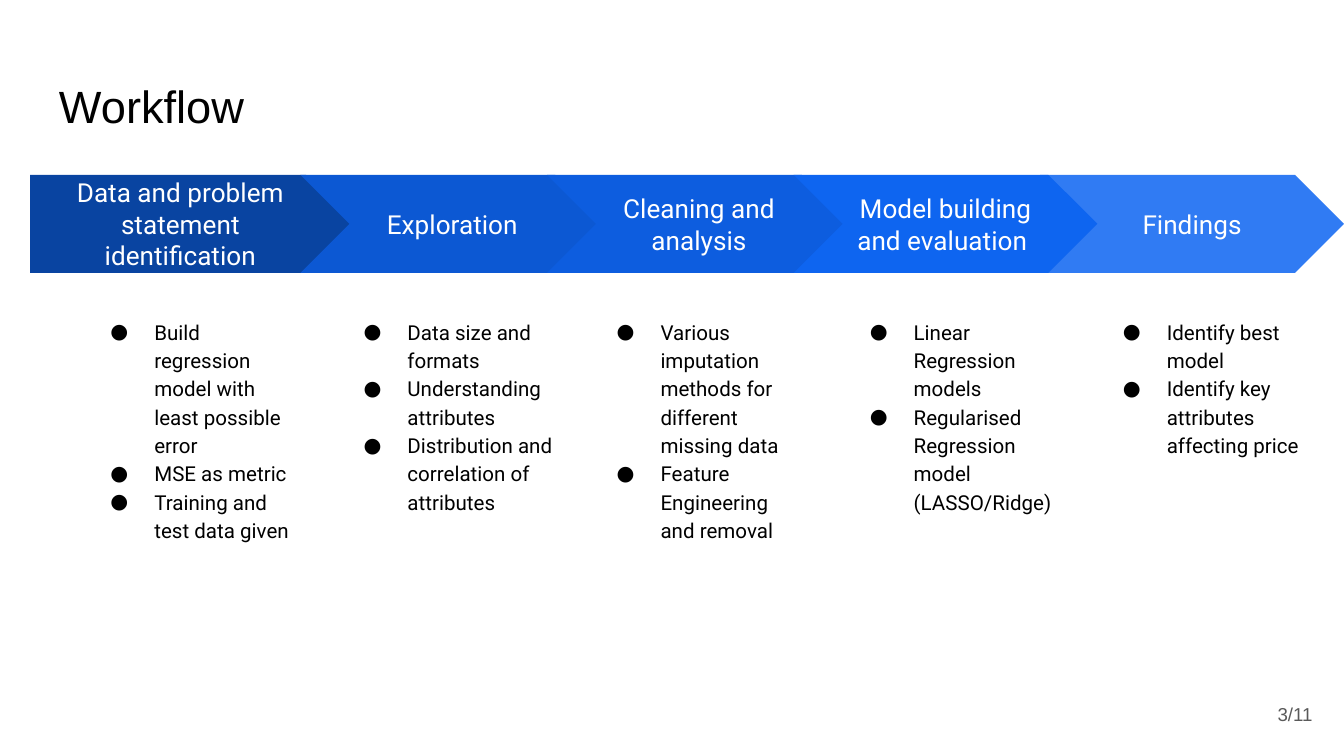
from lxml import etree
from pptx import Presentation
from pptx.dml.color import RGBColor
from pptx.enum import shapes, text
from pptx.oxml import ns
from pptx.util import Pt

COLORS = {
    "black": "000000",
    "white": "FFFFFF",
    "grey": "595959",
    "problem": "0944A1",
    "exploration": "0C58D3",
    "cleaning": "0D5DDF",
    "model": "0E65F0",
    "findings": "307BF3",
}

STAGES = [
    ("problem", "Data and problem statement identification", [
        "Build regression model with least possible error",
        "MSE as metric",
        "Training and test data given",
    ]),
    ("exploration", "Exploration", [
        "Data size and formats",
        "Understanding attributes",
        "Distribution and correlation of attributes",
    ]),
    ("cleaning", "Cleaning and analysis", [
        "Various imputation methods for different missing data",
        "Feature Engineering and removal",
    ]),
    ("model", "Model building and evaluation ", [
        "Linear Regression models",
        "Regularised Regression model (LASSO/Ridge)",
    ]),
    ("findings", "Findings", [
        "Identify best model",
        "Identify key attributes affecting price",
    ]),
]
DRAW_ORDER = [0, 1, 2, 4, 3]


def add_bullet(paragraph, font):
    paragraph.line_spacing = 1.15
    properties = paragraph._p.get_or_add_pPr()
    properties.set("marL", str(Pt(36)))
    properties.set("indent", str(Pt(-23.5)))
    color = etree.SubElement(properties, ns.qn("a:buClr"))
    etree.SubElement(color, ns.qn("a:srgbClr"), val=COLORS["black"])
    etree.SubElement(properties, ns.qn("a:buFont"), typeface=font)
    etree.SubElement(properties, ns.qn("a:buChar"), char="●")


def write_text(shape, lines, size, font="Roboto", color="black",
               align=text.PP_ALIGN.LEFT, anchor=text.MSO_ANCHOR.TOP, bullets=False):
    frame = shape.text_frame
    frame.word_wrap = True
    frame.auto_size = text.MSO_AUTO_SIZE.NONE
    frame.vertical_anchor = anchor
    frame.margin_left = frame.margin_right = Pt(7.2)
    frame.margin_top = frame.margin_bottom = Pt(7.2)
    for index, line in enumerate(lines):
        paragraph = frame.add_paragraph() if index else frame.paragraphs[0]
        paragraph.alignment = align
        if bullets:
            add_bullet(paragraph, font)
        run = paragraph.add_run()
        run.text = line
        run.font.size = Pt(size)
        run.font.name = font
        run.font.color.rgb = RGBColor.from_string(COLORS[color])


def add_title(slide, left, top, width, height):
    title = slide.shapes.add_textbox(Pt(left), Pt(top), Pt(width), Pt(height))
    write_text(title, ["Workflow"], 24.2, font="Arial")


def add_stage(slide, index, left, top, width, height):
    color, heading, points = STAGES[index]
    group = slide.shapes.add_group_shape()
    if index == 0:
        preset, arrow_left, arrow_width = shapes.MSO_SHAPE.PENTAGON, left, 174
    else:
        preset = shapes.MSO_SHAPE.CHEVRON
        arrow_left, arrow_width = left + 12.7 + 132.1 * index, 162.7
    arrow = group.shapes.add_shape(
        preset, Pt(arrow_left), Pt(top), Pt(arrow_width), Pt(52.5))
    arrow.adjustments[0] = 0.5
    arrow.shadow.inherit = False
    arrow.fill.solid()
    arrow.fill.fore_color.rgb = RGBColor.from_string(COLORS[color])
    arrow.line.fill.background()
    write_text(arrow, [heading], 14, color="white",
               align=text.PP_ALIGN.CENTER, anchor=text.MSO_ANCHOR.MIDDLE)

    column_left = left + 23.4 + width * index
    details = group.shapes.add_textbox(
        Pt(column_left), Pt(top + 68.4), Pt(128.3), Pt(height - 68.4))
    write_text(details, points, 11, bullets=True)


def add_workflow(slide, left, top, width, height):
    for index in DRAW_ORDER:
        add_stage(slide, index, left, top, width / len(STAGES), height)


def add_page_number(slide, left, top, width, height):
    number = slide.shapes.add_textbox(Pt(left), Pt(top), Pt(width), Pt(height))
    write_text(number, ["3/11"], 10, font="Arial", color="grey",
               align=text.PP_ALIGN.RIGHT, anchor=text.MSO_ANCHOR.MIDDLE)


def main():
    presentation = Presentation()
    presentation.slide_width = Pt(720)
    presentation.slide_height = Pt(405)
    slide = presentation.slides.add_slide(presentation.slide_layouts[6])
    slide.background.fill.solid()
    slide.background.fill.fore_color.rgb = RGBColor.from_string(COLORS["white"])
    add_title(slide, 24.5, 35, 671, 45)
    add_workflow(slide, 16.2, 93.7, 678, 253.4)
    add_page_number(slide, 667, 367.2, 43.2, 31)
    presentation.save("out.pptx")


if __name__ == "__main__":
    main()
